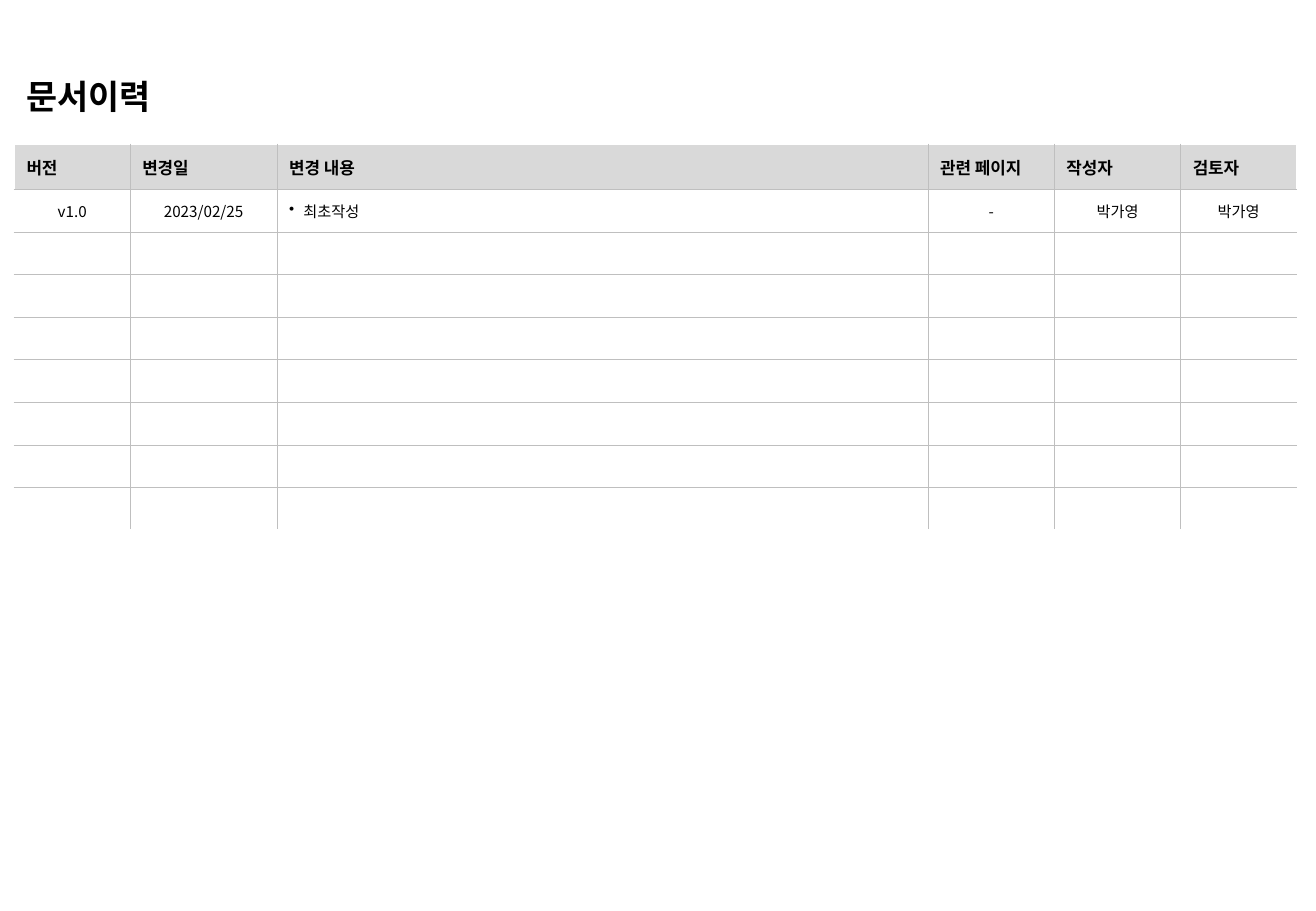
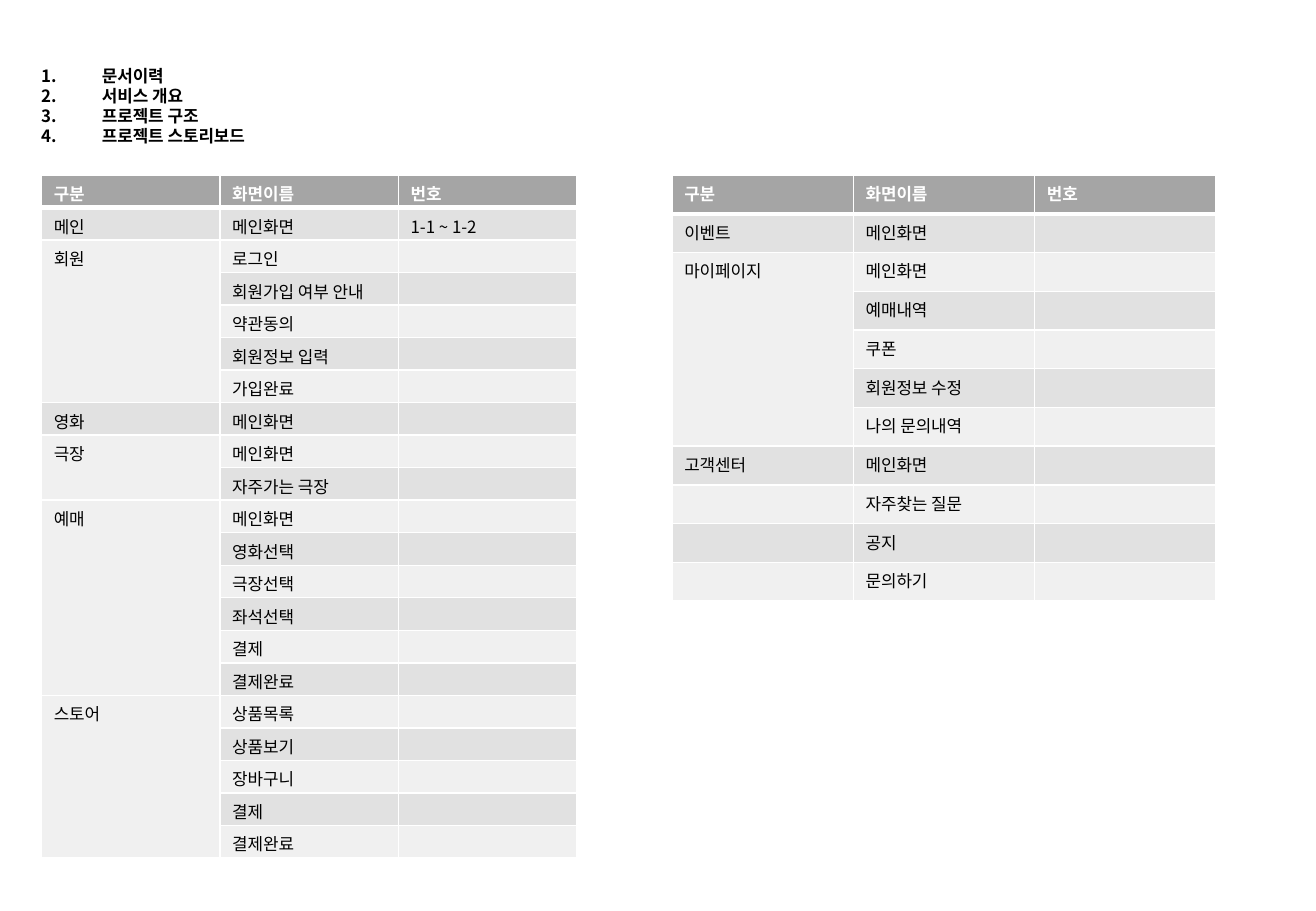
"""Build a document history slide and a contents slide with screen lists."""
from lxml import etree
from pptx import Presentation
from pptx.dml.color import RGBColor
from pptx.enum.text import MSO_ANCHOR, MSO_AUTO_SIZE, PP_ALIGN
from pptx.oxml.ns import qn
from pptx.util import Cm, Pt

MIDDLE, TOP = MSO_ANCHOR.MIDDLE, MSO_ANCHOR.TOP
LEFT, CENTER = PP_ALIGN.LEFT, PP_ALIGN.CENTER
FIT = MSO_AUTO_SIZE.SHAPE_TO_FIT_TEXT
FONT = "Noto Sans CJK KR"
BLACK, WHITE, LINE = "000000", "FFFFFF", "BFBFBF"
PALE, DARK, BANDS = "D9D9D9", "A5A5A5", ("E1E1E1", "F0F0F0")
THIN, EDGE, THICK = (LINE, 0.25), (WHITE, 1), (WHITE, 3)

TITLE = "문서이력"
HISTORY = [
    ("버전", "변경일", "변경 내용", "관련 페이지", "작성자", "검토자"),
    ("v1.0", "2023/02/25", "최초작성", "-", "박가영", "박가영"),
] + [("",) * 6] * 7
WIDTHS = (2.42, 3.07, 13.61, 2.64, 2.64, 2.42)
NOTE_COL = 2

TOPICS = ["문서이력", "서비스 개요", "프로젝트 구조", "프로젝트 스토리보드"]
HEADS = ("구분", "화면이름", "번호")
SITE = [
    ("메인", ["메인화면"]),
    ("회원", ["로그인", "회원가입 여부 안내", "약관동의", "회원정보 입력", "가입완료"]),
    ("영화", ["메인화면"]),
    ("극장", ["메인화면", "자주가는 극장"]),
    ("예매", ["메인화면", "영화선택", "극장선택", "좌석선택", "결제", "결제완료"]),
    ("스토어", ["상품목록", "상품보기", "장바구니", "결제", "결제완료"]),
]
HELP = [
    ("이벤트", ["메인화면"]),
    ("마이페이지", ["메인화면", "예매내역", "쿠폰", "회원정보 수정", "나의 문의내역"]),
    ("고객센터", ["메인화면"]),
    ("", ["자주찾는 질문"]),
    ("", ["공지"]),
    ("", ["문의하기"]),
]
CODES = {"메인": "1-1 ~ 1-2"}
LISTS = [(0.87, 3.73, 0.68, SITE), (14.05, 3.79, 0.81, HELP)]


def rgb(code):
    return RGBColor.from_string(code)


def style(para, size, color=BLACK, bold=False):
    for run in para.runs:
        run.font.size, run.font.bold = Pt(size), bold
        run.font.color.rgb = rgb(color)
        run.font.name = FONT
        east = etree.SubElement(run.font._element, qn("a:ea"))
        east.set("typeface", FONT)
    if not para.runs:
        end = etree.SubElement(para._p, qn("a:endParaRPr"))
        end.set("sz", str(size * 100))


def bullet(para, indent, tag, key, value):
    props = para._p.get_or_add_pPr()
    props.set("marL", str(Cm(indent)))
    props.set("indent", str(-Cm(indent)))
    etree.SubElement(props, qn(tag)).set(key, value)


def text_box(slide, box, lines, size):
    frame = slide.shapes.add_textbox(*map(Cm, box)).text_frame
    frame.word_wrap, frame.auto_size = True, FIT
    frame.text = "\n".join(lines)
    for para in frame.paragraphs:
        para.line_spacing = Pt(size * 1.2)
        style(para, size, bold=True)
    return frame


def border(cell, sides):
    props = cell._tc.get_or_add_tcPr()
    for spot, (side, (color, width)) in enumerate(zip("LRTB", sides)):
        line = etree.Element(qn("a:ln" + side), w=str(Pt(width)))
        fill = etree.SubElement(line, qn("a:solidFill"))
        etree.SubElement(fill, qn("a:srgbClr"), val=color)
        props.insert(spot, line)


def add_table(slide, left, top, widths, heights):
    table = slide.shapes.add_table(
        len(heights), len(widths), Cm(left), Cm(top),
        Cm(sum(widths)), Cm(sum(heights))).table
    table.first_row = table.horz_banding = False
    for col, width in zip(table.columns, widths):
        col.width = Cm(width)
    for row, height in zip(table.rows, heights):
        row.height = Cm(height)
    return table


def put(cell, text, size, color, bold, fill, sides, anchor, align=LEFT):
    cell.text = text
    cell.vertical_anchor = anchor
    para = cell.text_frame.paragraphs[0]
    para.alignment = align
    style(para, size, color, bold)
    if fill:
        cell.fill.solid()
        cell.fill.fore_color.rgb = rgb(fill)
    else:
        cell.fill.background()
    border(cell, sides)
    return para


def history(slide):
    last, end = len(HISTORY) - 1, len(WIDTHS) - 1
    table = add_table(slide, 0.3, 3.02, WIDTHS, [0.94] + [0.89] * last)
    for r, row in enumerate(HISTORY):
        for c, text in enumerate(row):
            head = r == 0
            sides = [EDGE if outer else THIN
                     for outer in (c == 0, c == end, head, r == last)]
            align = LEFT if head or c == NOTE_COL else CENTER
            para = put(table.cell(r, c), text, 10 if head else 9, BLACK, head,
                       PALE if head else None, sides, MIDDLE, align)
            if text and not head and c == NOTE_COL:
                bullet(para, 0.3, "a:buChar", "char", "•")
    text_box(slide, (0.3, 1.47, 26.19, 1.12), [TITLE], 20)


def screens(slide, left, width, height, groups):
    rows = [HEADS]
    for group, names in groups:
        rows += [(group if i == 0 else "", name, CODES.get(group, ""))
                 for i, name in enumerate(names)]
    table = add_table(slide, left, 3.66, [width] * 3, [height] * len(rows))
    for r, row in enumerate(rows):
        head = r == 0
        sides = (EDGE, EDGE, THICK if r == 1 else EDGE, THICK if head else EDGE)
        for c, text in enumerate(row):
            cell = table.cell(r, c)
            put(cell, text, 10, WHITE if head else BLACK, head,
                DARK if head else BANDS[(r - 1) % 2], sides, TOP)
            cell.margin_bottom = 0
    first = 1
    for group, names in groups:
        final = first + len(names) - 1
        if final > first:
            table.cell(first, 0).merge(table.cell(final, 0))
        first = final + 1


def contents(slide):
    frame = text_box(slide, (0.61, 1.24, 26.19, 1.96), TOPICS, 10)
    for para in frame.paragraphs:
        bullet(para, 1.27, "a:buAutoNum", "type", "arabicPeriod")
    for spec_row in LISTS:
        screens(slide, *spec_row)


deck = Presentation()
deck.slide_width, deck.slide_height = Cm(27.51), Cm(19.05)
for build in (history, contents):
    build(deck.slides.add_slide(deck.slide_layouts[6]))
deck.save("out.pptx")
